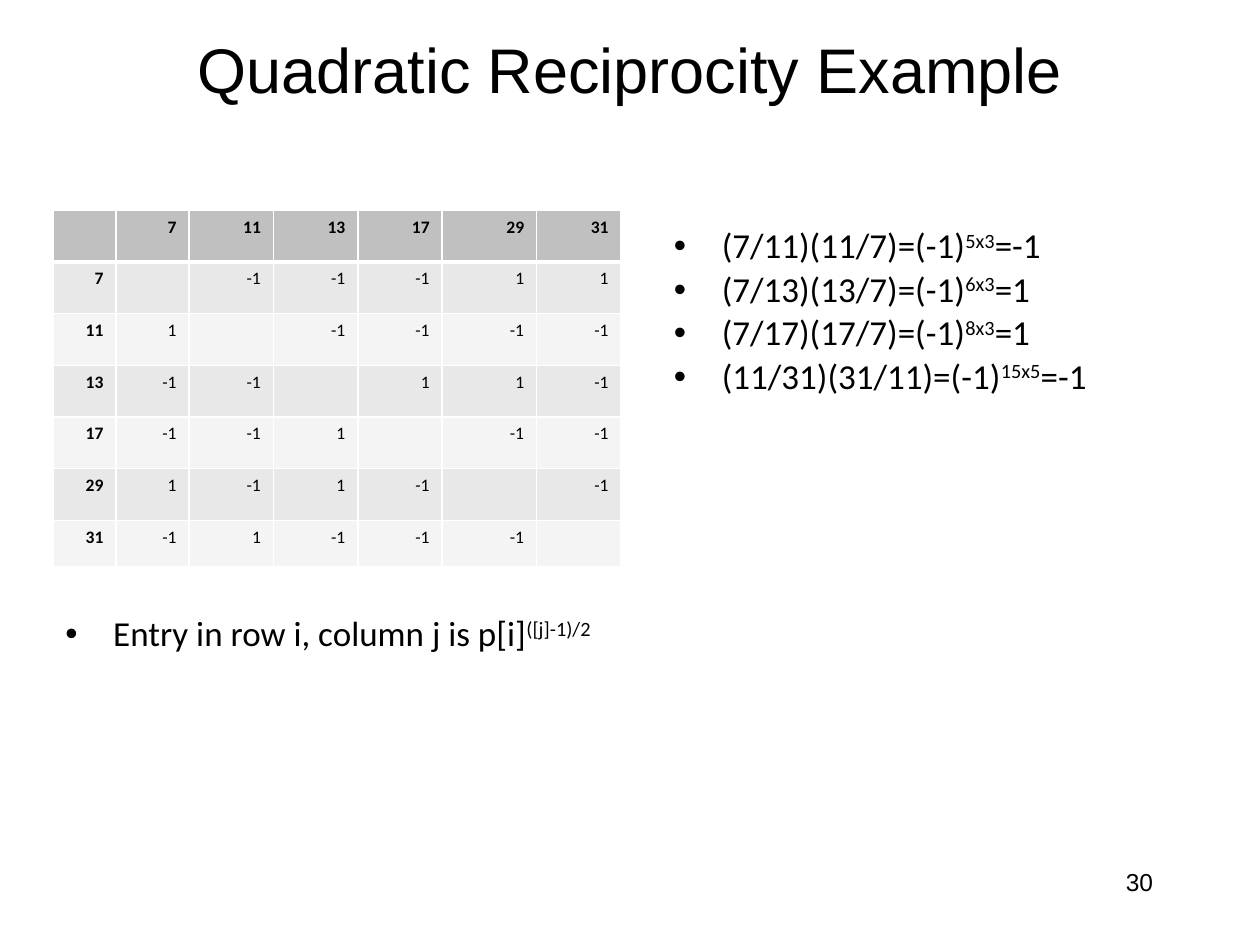
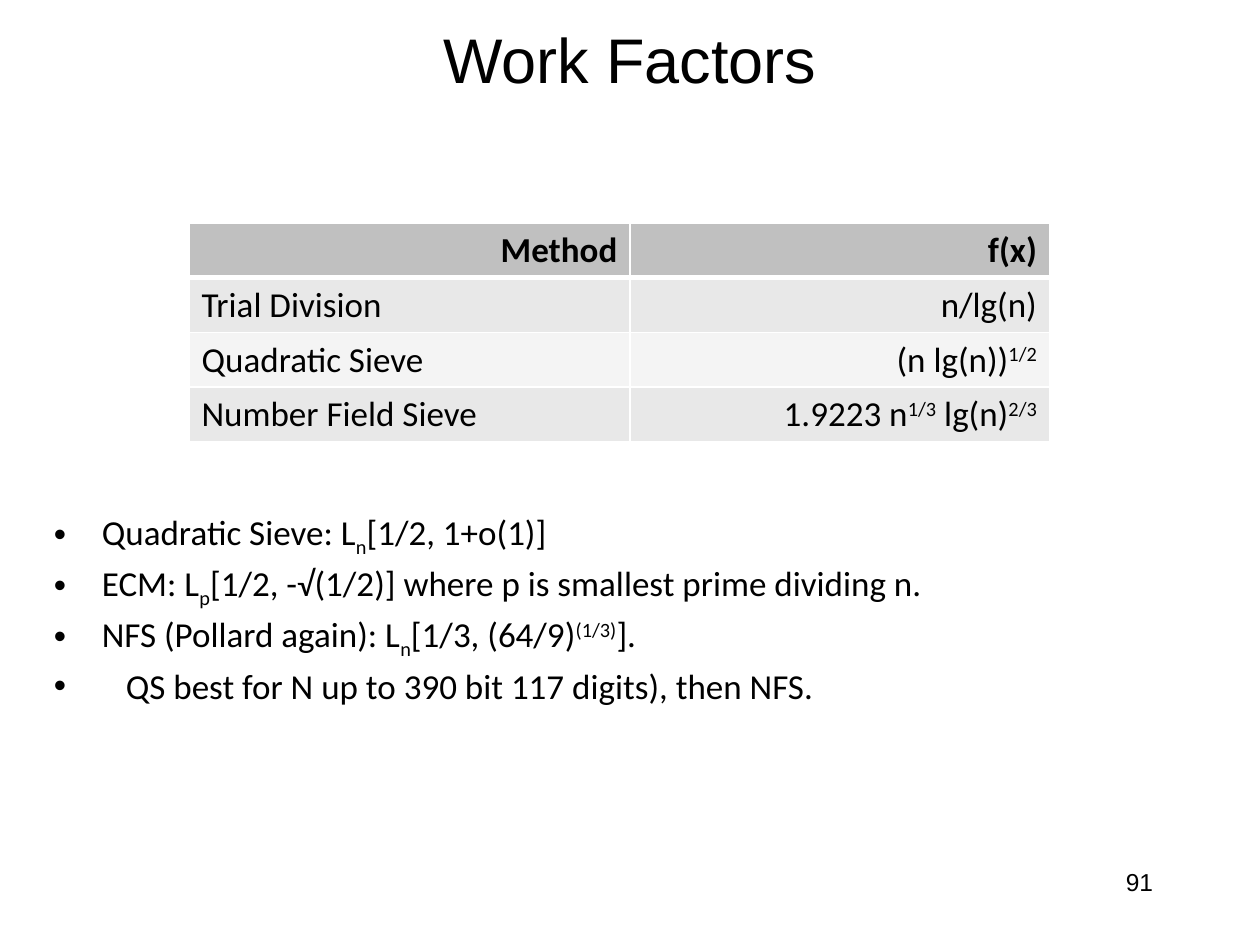
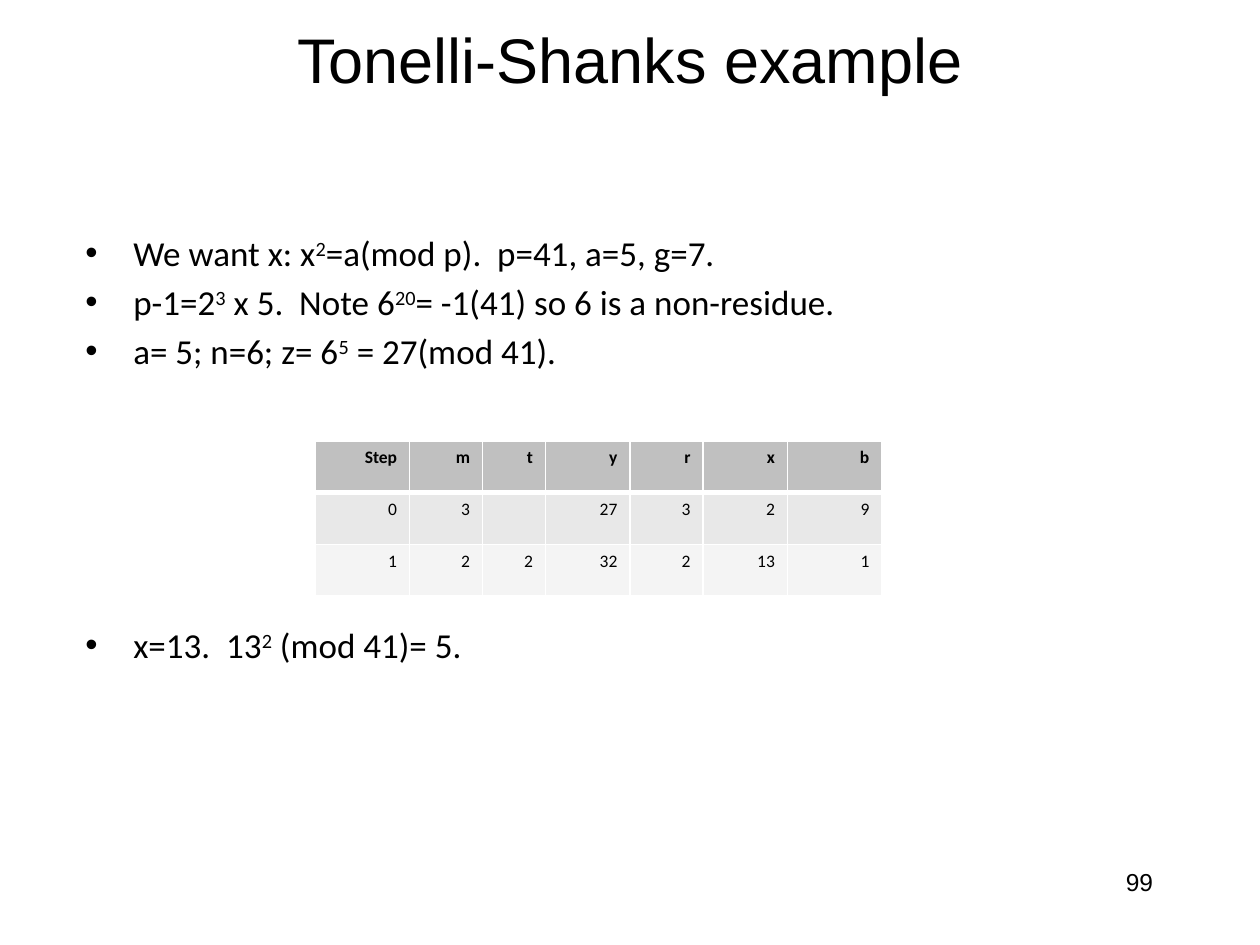
from dataclasses import dataclass

from lxml import etree
from pptx import Presentation
from pptx.dml.color import RGBColor
from pptx.enum import text
from pptx.oxml import ns
from pptx.util import Inches, Pt


@dataclass(frozen=True)
class Theme:
    ink: str = "000000"
    line: str = "FFFFFF"
    header: str = "C0C0C0"
    bands: tuple = ("E8E8E8", "F4F4F4")
    title_font: str = "Arial"
    body_font: str = "Calibri"
    title_size: int = 36
    body_size: int = 20
    small_size: int = 10
    number_size: int = 14
    indent: float = 0.38


T = Theme()
LEFT, RIGHT, CENTER = text.PP_ALIGN.LEFT, text.PP_ALIGN.RIGHT, text.PP_ALIGN.CENTER
BASELINES = {"^": 30000, "_": -25000}

# Content: "|" separates runs; a run opening with ^ is raised, with _ lowered.
SLIDES = [
    dict(
        title="Quadratic Reciprocity Example", title_top=0.08, number="30",
        table=dict(
            at=(0.42, 1.67), size=T.small_size, bold_first=True,
            cols=(0.5, 0.58, 0.67, 0.67, 0.67, 0.75, 0.67),
            heights=(0.41,) * 6 + (0.37,),
            rows=[
                ("", "7", "11", "13", "17", "29", "31"),
                ("7", "", "-1", "-1", "-1", "1", "1"),
                ("11", "1", "", "-1", "-1", "-1", "-1"),
                ("13", "-1", "-1", "", "1", "1", "-1"),
                ("17", "-1", "-1", "1", "", "-1", "-1"),
                ("29", "1", "-1", "1", "-1", "", "-1"),
                ("31", "-1", "1", "-1", "-1", "-1", ""),
            ]),
        lists=[
            dict(at=(0.42, 4.83, 5.42, 2), spacing=0.95,
                 items=["Entry in row i, column j is p[i]|^([j]-1)/2"]),
            dict(at=(5.25, 1.75, 4.58, 4.58), spacing=0.95, before=2,
                 items=["(7/11)(11/7)=(-1)|^5x3|=-1",
                        "(7/13)(13/7)=(-1)|^6x3|=1",
                        "(7/17)(17/7)=(-1)|^8x3|=1",
                        "(11/31)(31/11)=(-1)|^15x5|=-1"]),
        ]),
    dict(
        title="Work Factors", title_top=0, number="91",
        table=dict(
            at=(1.5, 1.77), size=T.body_size, left_first=True,
            cols=(3.5, 3.33), heights=(0.43,) * 4,
            rows=[
                ("Method", "f(x)"),
                ("Trial Division", "n/lg(n)"),
                ("Quadratic Sieve", "(n lg(n))|^1/2"),
                ("Number Field Sieve", "1.9223 n|^1/3| lg(n)|^2/3"),
            ]),
        lists=[
            dict(at=(0.33, 4, 9.25, 1.58), before=2, last_indent=0.57,
                 items=["Quadratic Sieve: L|_n|[1/2, 1+o(1)]",
                        "ECM: L|_p|[1/2, -√(1/2)] where p is smallest prime dividing n.",
                        "NFS (Pollard again): L|_n|[1/3, (64/9)|^(1/3)|].",
                        "QS best for N up to 390 bit 117 digits), then NFS."]),
        ]),
    dict(
        title="Tonelli-Shanks example", title_top=0, number="99",
        table=dict(
            at=(2.5, 3.5), size=T.small_size,
            cols=(0.75, 0.58, 0.5, 0.67, 0.58, 0.67, 0.75), heights=(0.41,) * 3,
            rows=[
                ("Step", "m", "t", "y", "r", "x", "b"),
                ("0", "3", "", "27", "3", "2", "9"),
                ("1", "2", "2", "32", "2", "13", "1"),
            ]),
        lists=[
            dict(at=(0.58, 1.79, 9, 0.75),
                 items=["We want x: x|^2|=a(mod p).  p=41, a=5, g=7.",
                        "p-1=2|^3| x 5.  Note 6|^20|= -1(41) so 6 is a non-residue.",
                        "a= 5; n=6; z= 6|^5| = 27(mod 41)."]),
            dict(at=(0.58, 4.9, 9, 0.75), items=["x=13.  13|^2| (mod 41)= 5."]),
        ]),
]


def write(p, marked, size, font=T.body_font, bold=False, align=LEFT):
    """Fill a paragraph with styled runs."""
    p.alignment = align
    for part in marked.split("|"):
        r = p.add_run()
        shift = BASELINES.get(part[:1])
        r.text = part[1:] if shift else part
        r.font.size, r.font.name, r.font.bold = Pt(size), font, bold
        r.font.color.rgb = RGBColor.from_string(T.ink)
        if shift:
            r._r.get_or_add_rPr().set("baseline", str(shift))


def add_box(s, at):
    tf = s.shapes.add_textbox(*map(Inches, at)).text_frame
    tf.word_wrap = True
    return tf


def add_bullets(s, at, items, before=4, spacing=1.0, last_indent=T.indent):
    tf = add_box(s, at)
    for i, item in enumerate(items):
        p = tf.paragraphs[0] if i == 0 else tf.add_paragraph()
        indent = last_indent if i == len(items) - 1 else T.indent
        pPr = p._p.get_or_add_pPr()
        pPr.set("marL", str(Inches(indent)))
        pPr.set("indent", str(-Inches(indent)))
        etree.SubElement(pPr, ns.qn("a:buFont"), typeface="Arial")
        etree.SubElement(pPr, ns.qn("a:buChar"), char="•")
        p.line_spacing = spacing
        if i:
            p.space_before = Pt(before)
        write(p, item, T.body_size)


def style_cell(cell, fill, bottom):
    tcPr = cell._tc.get_or_add_tcPr()
    for side in "LRTB":
        width = Pt(bottom if side == "B" else 1)
        ln = etree.SubElement(tcPr, ns.qn("a:ln" + side), w=str(width))
        solid = etree.SubElement(ln, ns.qn("a:solidFill"))
        etree.SubElement(solid, ns.qn("a:srgbClr"), val=T.line)
    cell.fill.solid()
    cell.fill.fore_color.rgb = RGBColor.from_string(fill)


def add_grid(s, at, size, cols, heights, rows, bold_first=False, left_first=False):
    extent = (sum(cols), sum(heights))
    frame = s.shapes.add_table(len(rows), len(cols), *map(Inches, at + extent))
    table = frame.table
    for column, width in zip(table.columns, cols):
        column.width = Inches(width)
    for i, (row, height) in enumerate(zip(rows, heights)):
        table.rows[i].height = Inches(height)
        head = i == 0
        for j, value in enumerate(row):
            cell = table.cell(i, j)
            style_cell(cell, T.header if head else T.bands[(i - 1) % 2], 3 if head else 1)
            p = cell.text_frame.paragraphs[0]
            if value:
                left = left_first and j == 0 and not head
                write(p, value, size, bold=head or (bold_first and j == 0),
                      align=LEFT if left else RIGHT)
            else:
                # An empty cell still needs its text size to keep the row height
                etree.SubElement(p._p, ns.qn("a:endParaRPr"), sz=str(size * 100))


def build_slide(prs, content):
    s = prs.slides.add_slide(prs.slide_layouts[6])
    # Title and page number
    tf = add_box(s, (0.75, content["title_top"], 8.5, 0.92))
    tf.vertical_anchor = text.MSO_ANCHOR.MIDDLE
    write(tf.paragraphs[0], content["title"], T.title_size, T.title_font, align=CENTER)
    tf = add_box(s, (7.17, 6.83, 2.08, 0.5))
    write(tf.paragraphs[0], content["number"], T.number_size, T.title_font, align=RIGHT)
    # Table and bullet lists
    add_grid(s, **content["table"])
    for bullets in content["lists"]:
        add_bullets(s, **bullets)


def main():
    prs = Presentation()
    prs.slide_width, prs.slide_height = Inches(10), Inches(7.5)
    for content in SLIDES:
        build_slide(prs, content)
    prs.save("out.pptx")


if __name__ == "__main__":
    main()
